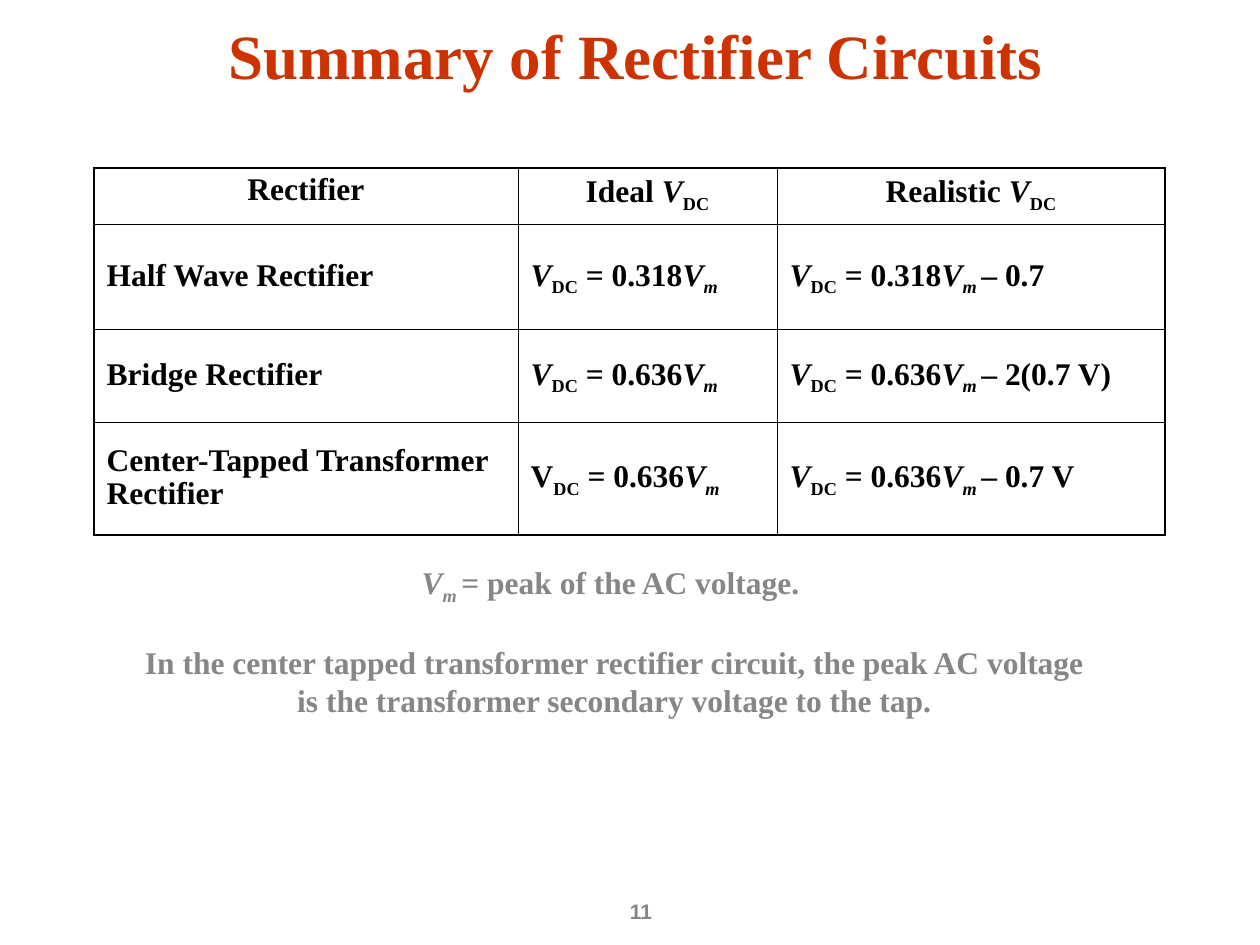
"""Build the slide that sums up the DC output of rectifier circuits."""
from lxml import etree
from pptx import Presentation
from pptx.dml.color import RGBColor
from pptx.enum.text import MSO_ANCHOR, PP_ALIGN
from pptx.oxml.ns import qn
from pptx.util import Pt

CENTER, LEFT = PP_ALIGN.CENTER, PP_ALIGN.LEFT
TOP, MIDDLE = MSO_ANCHOR.TOP, MSO_ANCHOR.MIDDLE
PX = 914400 / 126
THEME = {
    "serif": "Times New Roman", "sans": "Arial",
    "title": "CC3300", "muted": "868686", "ink": "000000",
    "title_size": 36, "body_size": 18, "number_size": 12,
    "outer_line": 1.08, "inner_line": 0.45,
}


def write(para, parts, size, color, font=THEME["serif"], align=CENTER):
    para.alignment = align
    for text, style in parts:
        span = para.add_run()
        span.text = text
        span.font.name = font
        span.font.size = Pt(size)
        span.font.bold = True
        span.font.italic = "italic" in style
        span.font.color.rgb = RGBColor.from_string(color)
        if "sub" in style:
            span._r.get_or_add_rPr().set("baseline", "-25000")


def add_box(left, top, width, height, anchor=TOP):
    box = page.shapes.add_textbox(*(round(n * PX) for n in (left, top, width, height)))
    box.text_frame.word_wrap = True
    box.text_frame.vertical_anchor = anchor
    return box.text_frame


deck = Presentation()
deck.slide_width, deck.slide_height = round(1260 * PX), round(945 * PX)
page = deck.slides.add_slide(deck.slide_layouts[6])

title = add_box(21, 10, 1229, 88, MIDDLE)
write(title.paragraphs[0], [("Summary of Rectifier Circuits", "")],
      THEME["title_size"], THEME["title"])

number = add_box(557, 892, 168, 38)
write(number.paragraphs[0], [("11", "")], THEME["number_size"], THEME["muted"], THEME["sans"])

notes = add_box(126, 557, 977, 169)
write(notes.paragraphs[0],
      [("V", "italic"), ("m ", "italic sub"), ("= peak of the AC voltage. ", "")],
      THEME["body_size"], THEME["muted"])
tap_note = notes.add_paragraph()
tap_note.space_before = Pt(21)
write(tap_note,
      [("In the center tapped transformer rectifier circuit, the peak AC voltage "
        "is the transformer secondary voltage to the tap.", "")],
      THEME["body_size"], THEME["muted"])

V_DC = [("V", "italic"), ("DC", "sub")]
rows = [[[("Rectifier", "")], [("Ideal ", "")] + V_DC, [("Realistic ", "")] + V_DC]]
for name, factor, drop, ideal_style in (
    ("Half Wave Rectifier", "0.318", "– 0.7", "italic"),
    ("Bridge Rectifier", "0.636", "– 2(0.7 V)", "italic"),
    ("Center-Tapped Transformer Rectifier", "0.636", "– 0.7 V", ""),
):
    product = [(f" = {factor}", ""), ("V", "italic")]
    ideal = [("V", ideal_style), ("DC", "sub")] + product + [("m", "italic sub")]
    realistic = V_DC + product + [("m ", "italic sub"), (drop, "")]
    rows.append([[(name, "")], ideal, realistic])

column_widths = [424, 259, 388]
row_heights = [56, 105, 93, 113]
last_row, last_column = len(row_heights) - 1, len(column_widths) - 1
frame = page.shapes.add_table(
    len(row_heights), len(column_widths), round(94 * PX), round(168 * PX),
    round(sum(column_widths) * PX), round(sum(row_heights) * PX))
table = frame.table
table.first_row = table.horz_banding = False
for column, width in zip(table.columns, column_widths):
    column.width = round(width * PX)
for row, height in zip(table.rows, row_heights):
    row.height = round(height * PX)

for r, row in enumerate(rows):
    for c, parts in enumerate(row):
        cell = table.cell(r, c)
        cell.vertical_anchor = MIDDLE if r else TOP
        para = cell.text_frame.paragraphs[0]
        para.line_spacing = 0.93
        write(para, parts, THEME["body_size"], THEME["ink"], align=LEFT if r else CENTER)
        properties = cell._tc.get_or_add_tcPr()
        for side, outer in (("L", c == 0), ("R", c == last_column),
                            ("T", r == 0), ("B", r == last_row)):
            weight = THEME["outer_line"] if outer else THEME["inner_line"]
            line = etree.SubElement(properties, qn(f"a:ln{side}"), w=str(Pt(weight)))
            fill = etree.SubElement(line, qn("a:solidFill"))
            etree.SubElement(fill, qn("a:srgbClr"), val=THEME["ink"])
        cell.fill.background()

deck.save("out.pptx")
